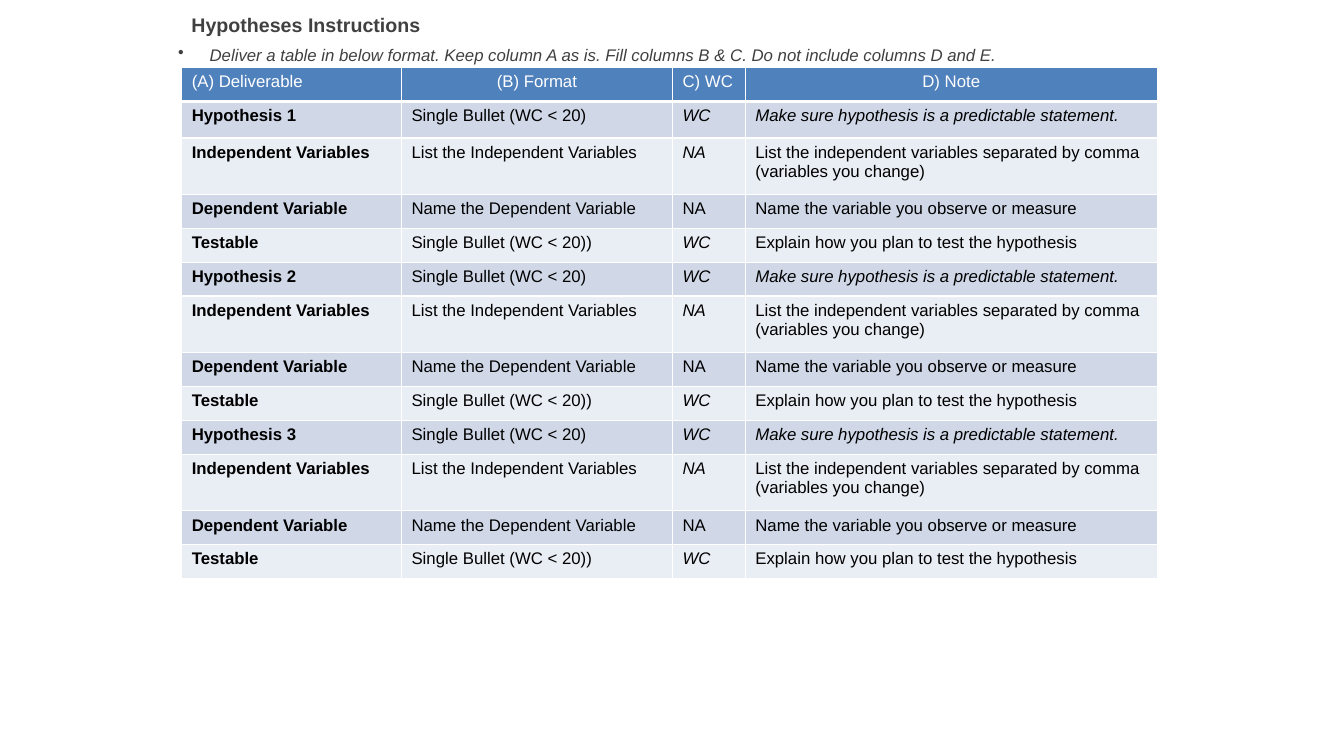
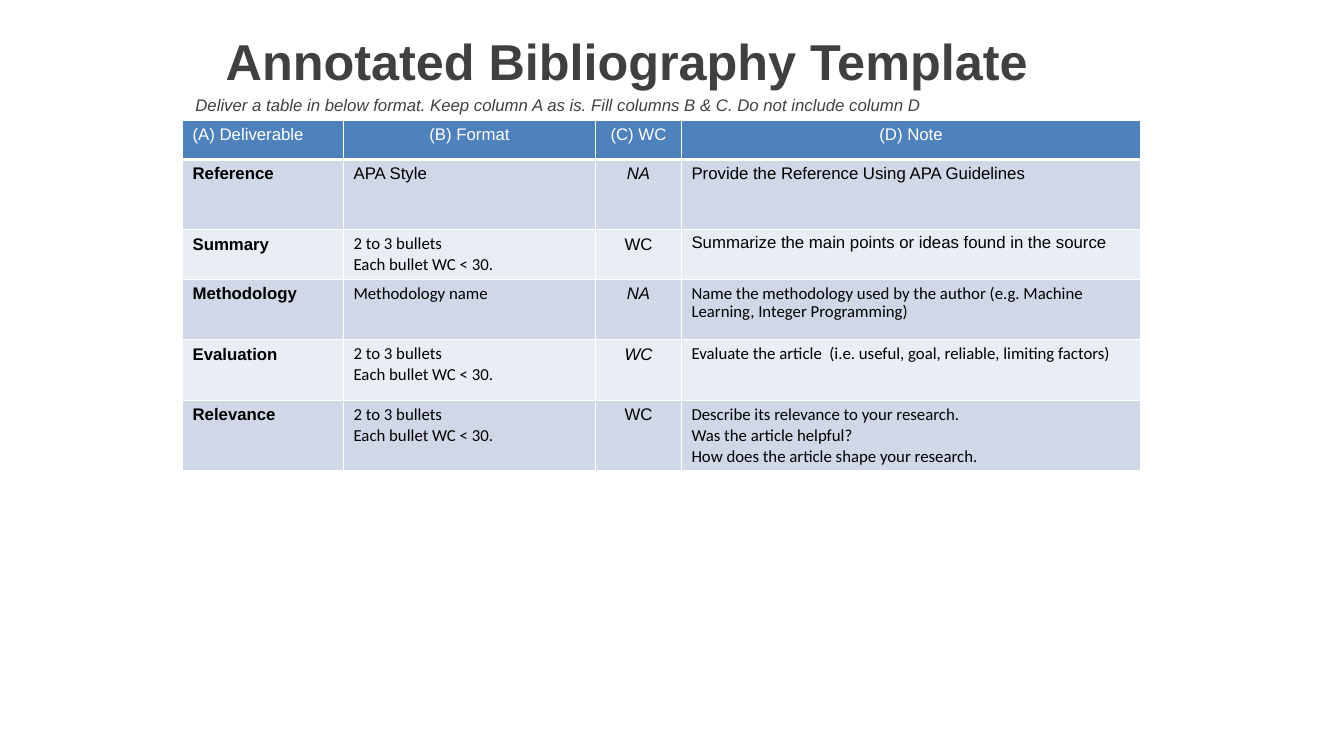
from dataclasses import dataclass
from functools import partial

from lxml.etree import SubElement
from pptx import Presentation
from pptx.dml.color import RGBColor
from pptx.enum.text import MSO_ANCHOR, PP_ALIGN
from pptx.oxml.ns import qn
from pptx.util import Pt

WHITE = RGBColor(0xFF, 0xFF, 0xFF)
BLACK = RGBColor(0x00, 0x00, 0x00)
GREY = RGBColor(0x40, 0x40, 0x40)
HEADER = RGBColor(0x4F, 0x81, 0xBD)
BANDS = (RGBColor(0xE9, 0xED, 0xF4), RGBColor(0xD0, 0xD8, 0xE8))
LEFT, CENTER = PP_ALIGN.LEFT, PP_ALIGN.CENTER


@dataclass
class Entry:
    """The text of one table cell and how it is set."""
    text: str
    bold: bool = False
    italic: bool = False
    font: str = "Arial"
    tight: bool = False


label = partial(Entry, bold=True)
slanted = partial(Entry, italic=True)
listing = partial(Entry, font="Calibri", tight=True)


class Deck:
    body_size = 12

    def __init__(self):
        self.deck = Presentation()
        self.deck.slide_width, self.deck.slide_height = Pt(960), Pt(540)
        self.page = None

    def add_page(self):
        self.page = self.deck.slides.add_slide(self.deck.slide_layouts[6])

    def style(self, para, color, size=body_size, font="Arial", bold=False, italic=False):
        for span in para.runs:
            span.font.name, span.font.size = font, Pt(size)
            span.font.bold, span.font.italic = bold, italic
            span.font.color.rgb = color

    def text(self, text, left, top, width, height, bullet_indent=0,
             anchor=MSO_ANCHOR.TOP, **style):
        box = self.page.shapes.add_textbox(Pt(left), Pt(top), Pt(width), Pt(height))
        frame = box.text_frame
        frame.word_wrap, frame.vertical_anchor = True, anchor
        frame.text = text
        para = frame.paragraphs[0]
        if bullet_indent:
            properties = para._p.get_or_add_pPr()
            properties.set("marL", str(Pt(bullet_indent)))
            properties.set("indent", str(-Pt(bullet_indent)))
            SubElement(properties, qn("a:buChar"), char="•")
        self.style(para, GREY, **style)

    def title(self, text, *place, size, **options):
        self.text(text, *place, size=size, bold=True, **options)

    def instruction(self, text, *place, **options):
        self.text(text, *place, italic=True, **options)

    def borders(self, cell, bottom):
        properties = cell._tc.get_or_add_tcPr()
        for side, width in (("L", 1), ("R", 1), ("T", 1), ("B", bottom)):
            line = SubElement(properties, qn(f"a:ln{side}"), w=str(Pt(width)))
            fill = SubElement(line, qn("a:solidFill"))
            SubElement(fill, qn("a:srgbClr"), val=str(WHITE))

    def fill_cell(self, cell, entry, fill, color, align, bottom=1):
        self.borders(cell, bottom)
        cell.fill.solid()
        cell.fill.fore_color.rgb = fill
        cell.text_frame.text = entry.text
        for para in cell.text_frame.paragraphs:
            para.alignment = align
            if entry.tight:
                para.line_spacing, para.space_after = 0.9, Pt(1.8)
            self.style(para, color, font=entry.font, bold=entry.bold, italic=entry.italic)

    def table(self, left, top, widths, heights, headings, rows, head_aligns, body_aligns):
        table = self.page.shapes.add_table(
            len(heights), len(widths), Pt(left), Pt(top),
            Pt(sum(widths)), Pt(sum(heights))).table
        for column, width in zip(table.columns, widths):
            column.width = Pt(width)
        for row, height in zip(table.rows, heights):
            row.height = Pt(height)
        for col, (heading, align) in enumerate(zip(headings, head_aligns)):
            self.fill_cell(table.cell(0, col), Entry(heading), HEADER, WHITE, align, bottom=3)
        for number, entries in enumerate(rows, start=1):
            for col, (entry, align) in enumerate(zip(entries, body_aligns)):
                self.fill_cell(table.cell(number, col), entry, BANDS[number % 2], BLACK, align)


def hypothesis_rows(number):
    return [
        (label(f"Hypothesis {number}"), Entry("Single Bullet (WC < 20)"), slanted("WC"),
         slanted("Make sure hypothesis is a predictable statement.")),
        (label("Independent Variables"), Entry("List the Independent Variables"), slanted("NA"),
         Entry("List the independent variables separated by comma (variables you change)")),
        (label("Dependent Variable"), Entry("Name the Dependent Variable"), Entry("NA"),
         Entry("Name the variable you observe or measure")),
        (label("Testable"), Entry("Single Bullet (WC < 20))"), slanted("WC"),
         Entry("Explain how you plan to test the hypothesis")),
    ]


def hypotheses(deck):
    deck.add_page()
    rows = [row for number in (1, 2, 3) for row in hypothesis_rows(number)]
    group = [24.2, 40.4, 24.2, 24.2]
    deck.table(
        129.8, 48.3, [157, 193.6, 52, 294.4], [24.2, 26.1] + group[1:] + group * 2,
        ["(A) Deliverable", "(B) Format", "C) WC", "D) Note"], rows,
        head_aligns=[LEFT, CENTER, LEFT, CENTER], body_aligns=[LEFT] * 4)
    deck.title("Hypotheses Instructions", 129.6, 5.8, 603.4, 19.4, size=14)
    deck.instruction(
        "Deliver a table in below format. Keep column A as is. Fill columns B & C. "
        "Do not include columns D and E.",
        120.2, 28.1, 638.6, 20.9, bullet_indent=22.5)


def bibliography(deck):
    deck.add_page()
    bullets = listing("2 to 3 bullets\nEach bullet WC < 30.")
    rows = [
        (label("Reference"), Entry("APA Style"), slanted("NA"),
         Entry("Provide the Reference Using APA Guidelines")),
        (label("Summary"), bullets, Entry("WC"),
         Entry("Summarize the main points or ideas found in the source", tight=True)),
        (label("Methodology"), listing("Methodology name"), slanted("NA"),
         listing("Name the methodology used by the author (e.g. Machine Learning, "
                 "Integer Programming)")),
        (label("Evaluation"), bullets, slanted("WC"),
         listing("Evaluate the article  (i.e. useful, goal, reliable, limiting factors)")),
        (label("Relevance"), bullets, Entry("WC"),
         listing("Describe its relevance to your research.\nWas the article helpful?\n"
                 "How does the article shape your research.")),
    ]
    deck.table(
        130.4, 86, [115, 180, 61.4, 328], [28, 50.2, 35.4, 43.2, 43.2, 50],
        ["(A) Deliverable", "(B) Format", "(C) WC", "(D) Note"], rows,
        head_aligns=[LEFT, CENTER, CENTER, CENTER], body_aligns=[LEFT, LEFT, CENTER, LEFT])
    deck.title("Annotated Bibliography Template", 154.1, 14.4, 610.6, 58, size=36,
               anchor=MSO_ANCHOR.MIDDLE)
    deck.instruction(
        "Deliver a table in below format. Keep column A as is. Fill columns B & C. "
        "Do not include column D",
        132.5, 64.1, 702.7, 20.2)


def main():
    deck = Deck()
    hypotheses(deck)
    bibliography(deck)
    deck.deck.save("out.pptx")


if __name__ == "__main__":
    main()
